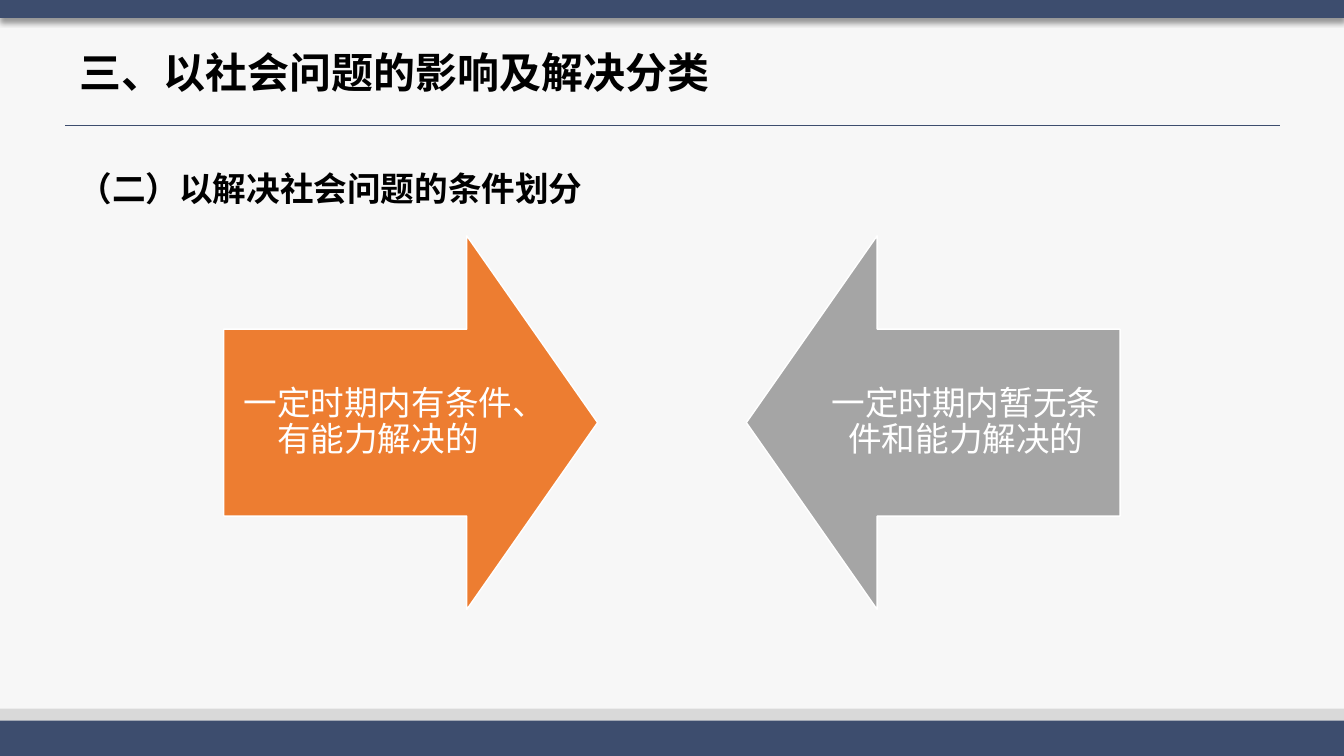
from lxml import etree
from pptx import Presentation
from pptx.dml.color import RGBColor
from pptx.enum.shapes import MSO_CONNECTOR, MSO_SHAPE
from pptx.enum.text import MSO_ANCHOR, PP_ALIGN
from pptx.oxml.ns import qn
from pptx.util import Cm, Pt

# Content
TITLE = "三、以社会问题的影响及解决分类"
SUBTITLE = "（二）以解决社会问题的条件划分"
ARROWS = [
    ("一定时期内有条件、有能力解决的", MSO_SHAPE.RIGHT_ARROW, "orange"),
    ("一定时期内暂无条件和能力解决的", MSO_SHAPE.LEFT_ARROW, "gray"),
]
COLORS = {
    "background": "F7F7F7", "navy": "3D4D6E", "strip": "D9D9D9",
    "orange": "ED7D31", "gray": "A5A5A5", "white": "FFFFFF", "black": "000000",
}
FONT = "Noto Sans CJK SC"

# Layout in centimetres
WIDTH, HEIGHT = 33.87, 19.05
ARROW_SIZE, ARROW_MARGIN, ARROW_TOP = 9.42, 5.64, 5.94
BARS = [  # top, height, colour
    (17.86, 0.89, "strip"),
    (18.16, 0.89, "navy"),
    (0, 0.45, "navy"),
]


def color(name):
    return RGBColor.from_string(COLORS[name])


def write(shape, text, size, ink, bold, spacing, after=0, align=PP_ALIGN.LEFT,
          anchor=MSO_ANCHOR.MIDDLE):
    frame = shape.text_frame
    frame.word_wrap = True
    frame.vertical_anchor = anchor
    line = frame.paragraphs[0]
    line.text = text
    line.alignment = align
    line.line_spacing = spacing
    line.space_after = Pt(after)
    font = line.font
    font.size, font.bold, font.name = Pt(size), bold, FONT
    font.color.rgb = color(ink)
    properties = line._p.pPr.find(qn("a:defRPr"))
    etree.SubElement(properties, qn("a:ea"), typeface=FONT)


def add_filled(kind, left, top, width, height, fill):
    shape = slide.shapes.add_shape(kind, Cm(left), Cm(top), Cm(width), Cm(height))
    shape.shadow.inherit = False
    shape.fill.solid()
    shape.fill.fore_color.rgb = color(fill)
    shape.line.fill.background()
    return shape


prs = Presentation()
prs.slide_width, prs.slide_height = Cm(WIDTH), Cm(HEIGHT)
slide = prs.slides.add_slide(prs.slide_layouts[6])
slide.background.fill.solid()
slide.background.fill.fore_color.rgb = color("background")

# Title and subtitle
title = slide.shapes.add_textbox(Cm(1.75), Cm(0.89), Cm(30.43), Cm(2.01))
write(title, TITLE, 30, "black", True, 0.9)
subtitle = slide.shapes.add_textbox(Cm(1.73), Cm(3.61), Cm(30.94), Cm(13.54))
write(subtitle, SUBTITLE, 24, "black", True, 1.5, after=6, anchor=MSO_ANCHOR.TOP)

# Bars across the slide; the last one, at the top, casts a shadow
for top, height, fill in BARS:
    bar = add_filled(MSO_SHAPE.RECTANGLE, 0, top, WIDTH, height, fill)
effects = bar._element.spPr.find(qn("a:effectLst"))
shadow = etree.SubElement(effects, qn("a:outerShdw"), blurRad=str(Pt(4)),
                          dist=str(Pt(3)), dir="5400000", rotWithShape="0")
shade = etree.SubElement(shadow, qn("a:srgbClr"), val=COLORS["black"])
etree.SubElement(shade, qn("a:alpha"), val="40000")

# Rule under the title
rule = slide.shapes.add_connector(MSO_CONNECTOR.STRAIGHT,
                                  Cm(1.65), Cm(3.15), Cm(32.26), Cm(3.15))
rule.line.color.rgb = color("navy")
rule.line.width = Pt(0.5)
etree.SubElement(rule._element.spPr, qn("a:effectLst"))

# Facing arrows, placed symmetrically
step = WIDTH - 2 * ARROW_MARGIN - ARROW_SIZE
for index, (label, kind, fill) in enumerate(ARROWS):
    arrow = add_filled(kind, ARROW_MARGIN + index * step, ARROW_TOP,
                       ARROW_SIZE, ARROW_SIZE, fill)
    arrow.adjustments[0], arrow.adjustments[1] = 0.5, 0.35
    arrow.line.color.rgb = color("white")
    arrow.line.width = Pt(1)
    frame = arrow.text_frame
    frame.margin_left = frame.margin_right = Cm(0.48)
    frame.margin_top = frame.margin_bottom = Cm(0.48)
    write(arrow, label, 24, "white", False, 0.9, after=8.4, align=PP_ALIGN.CENTER)

prs.save("out.pptx")
